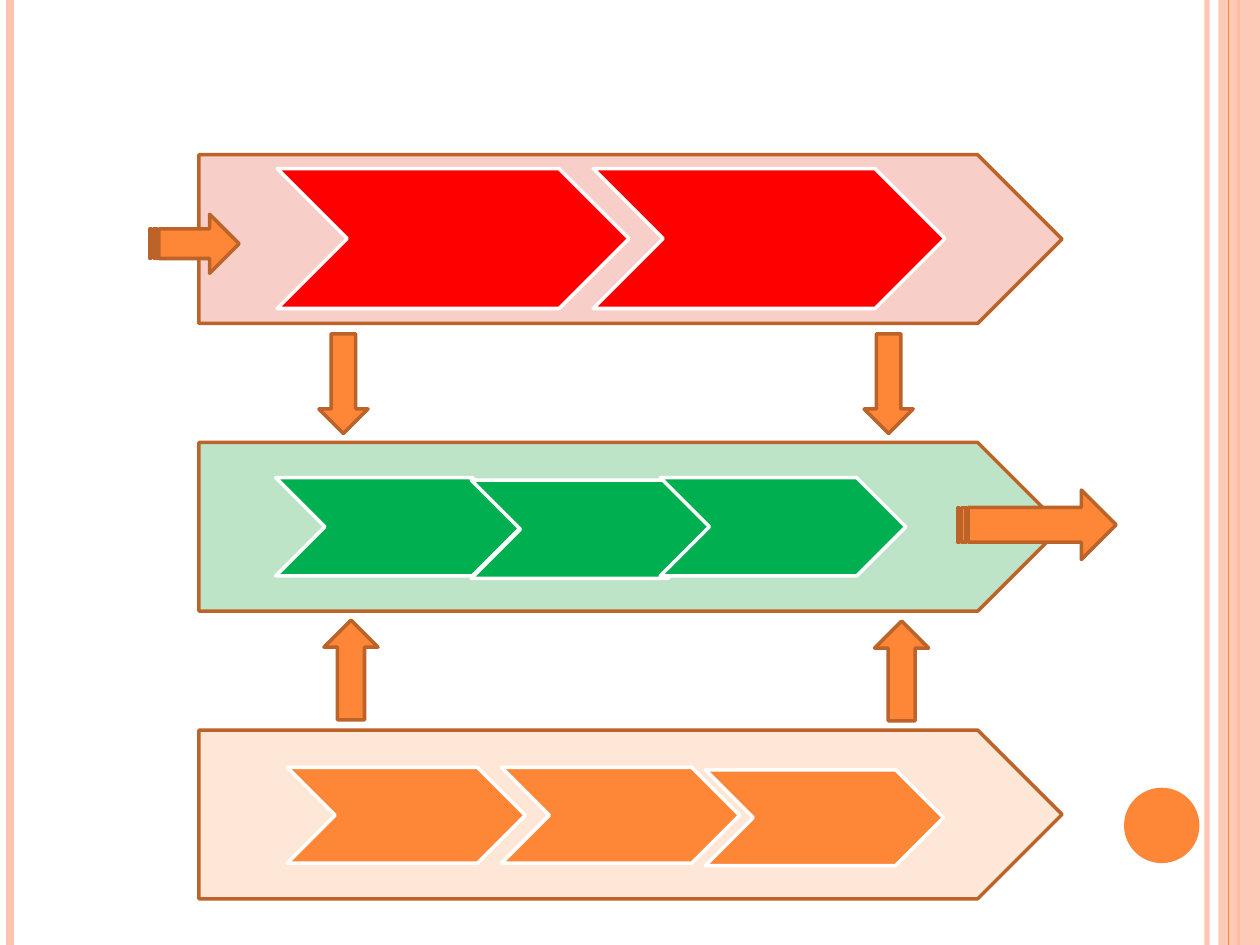
from dataclasses import dataclass
from typing import Optional

from lxml.etree import SubElement
from pptx import Presentation
from pptx.dml.color import RGBColor
from pptx.enum.shapes import MSO_CONNECTOR, MSO_SHAPE as Kind
from pptx.oxml.ns import qn
from pptx.util import Cm, Pt

PEACH = RGBColor(0xFE, 0xC3, 0xAE)
ORANGE = RGBColor(0xFE, 0x86, 0x37)
BROWN = RGBColor(0xBC, 0x63, 0x29)
WHITE = RGBColor(0xFF, 0xFF, 0xFF)
RED = RGBColor(0xFF, 0x00, 0x00)
GREEN = RGBColor(0x00, 0xB0, 0x50)
PALE_RED = RGBColor(0xF8, 0xCF, 0xC8)
PALE_GREEN = RGBColor(0xBE, 0xE4, 0xC8)
PALE_ORANGE = RGBColor(0xFF, 0xE7, 0xD7)

SLIDE_W, SLIDE_H = 25.4, 19.05


@dataclass(frozen=True)
class Rule:
    x: float
    width: float
    color: RGBColor
    opacity: int = 100


@dataclass(frozen=True)
class ChevronRow:
    fill: RGBColor
    width: float
    height: float
    positions: tuple[tuple[float, float], ...]


@dataclass(frozen=True)
class Arrow:
    kind: Kind
    x: float
    y: float
    width: float
    height: float
    rotation: int = 0


def set_opacity(fill_xml, percent: int) -> None:
    color = next(fill_xml.iter(qn("a:srgbClr")))
    SubElement(color, qn("a:alpha"), val=str(percent * 1000))


def add_rule(shapes, rule: Rule) -> None:
    line = shapes.add_connector(
        MSO_CONNECTOR.STRAIGHT, Cm(rule.x), 0, Cm(rule.x), Cm(SLIDE_H))
    line.line.color.rgb = rule.color
    line.line.width = Pt(rule.width)
    if rule.opacity < 100:
        set_opacity(line.line._ln, rule.opacity)
    SubElement(line._element.spPr, qn("a:effectLst"))


def add_block(shapes, kind: Kind, x: float, y: float, width: float, height: float,
              fill: RGBColor, outline: Optional[RGBColor] = None):
    sp = shapes.add_shape(kind, Cm(x), Cm(y), Cm(width), Cm(height))
    sp.shadow.inherit = False
    sp.fill.solid()
    sp.fill.fore_color.rgb = fill
    if outline is None:
        sp.line.fill.background()
    else:
        sp.line.color.rgb = outline
        sp.line.width = Pt(2)
    return sp


def add_chevrons(shapes, row: ChevronRow) -> None:
    group = shapes.add_group_shape()
    for x, y in row.positions:
        add_block(group.shapes, Kind.CHEVRON, x, y, row.width, row.height,
                  row.fill, WHITE)


def add_arrow(shapes, arrow: Arrow) -> None:
    sp = add_block(shapes, arrow.kind, arrow.x, arrow.y, arrow.width, arrow.height,
                   ORANGE, BROWN)
    sp.rotation = arrow.rotation


RULES_BEHIND_BAND = (
    Rule(24.33, 3, PEACH, 93),
    Rule(0.2, 4.5, PEACH),
    Rule(24.97, 1.5, ORANGE),
)
RULE_ON_BAND = Rule(24.77, 0.75, ORANGE)

CHEVRON_ROWS = (
    ChevronRow(GREEN, 4.95, 1.98, ((5.56, 9.63), (9.5, 9.68), (13.31, 9.63))),
    ChevronRow(RED, 7.09, 2.82, ((5.59, 3.4), (11.96, 3.4))),
    ChevronRow(ORANGE, 4.8, 1.93, ((5.79, 15.47), (10.11, 15.47), (14.22, 15.52))),
)

ARROWS = (
    Arrow(Kind.DOWN_ARROW, 6.43, 6.73, 0.99, 2.01),
    Arrow(Kind.DOWN_ARROW, 17.42, 6.73, 0.99, 2.01),
    Arrow(Kind.DOWN_ARROW, 6.53, 12.5, 1.09, 2.01, 180),
    Arrow(Kind.DOWN_ARROW, 17.63, 12.52, 1.09, 2.01, 180),
    Arrow(Kind.STRIPED_RIGHT_ARROW, 19.3, 9.88, 3.2, 1.4),
    Arrow(Kind.STRIPED_RIGHT_ARROW, 3.02, 4.32, 1.8, 1.19),
)


def main() -> None:
    prs = Presentation()
    prs.slide_width, prs.slide_height = Cm(SLIDE_W), Cm(SLIDE_H)
    s = prs.slides.add_slide(prs.slide_layouts[6])
    shapes = s.shapes

    for rule in RULES_BEHIND_BAND:
        add_rule(shapes, rule)
    band = add_block(shapes, Kind.RECTANGLE, 24.56, 0, 0.84, SLIDE_H, PEACH)
    set_opacity(band._element.spPr, 87)
    add_rule(shapes, RULE_ON_BAND)
    add_block(shapes, Kind.OVAL, 22.66, 15.88, 1.52, 1.52, ORANGE)

    for i, fill in enumerate((PALE_RED, PALE_GREEN, PALE_ORANGE)):
        add_block(shapes, Kind.PENTAGON, 4.01, 3.12 + 5.8 * i, 17.4, 3.4, fill, BROWN)
    for row in CHEVRON_ROWS:
        add_chevrons(shapes, row)
    for arrow in ARROWS:
        add_arrow(shapes, arrow)

    prs.save("out.pptx")


if __name__ == "__main__":
    main()
